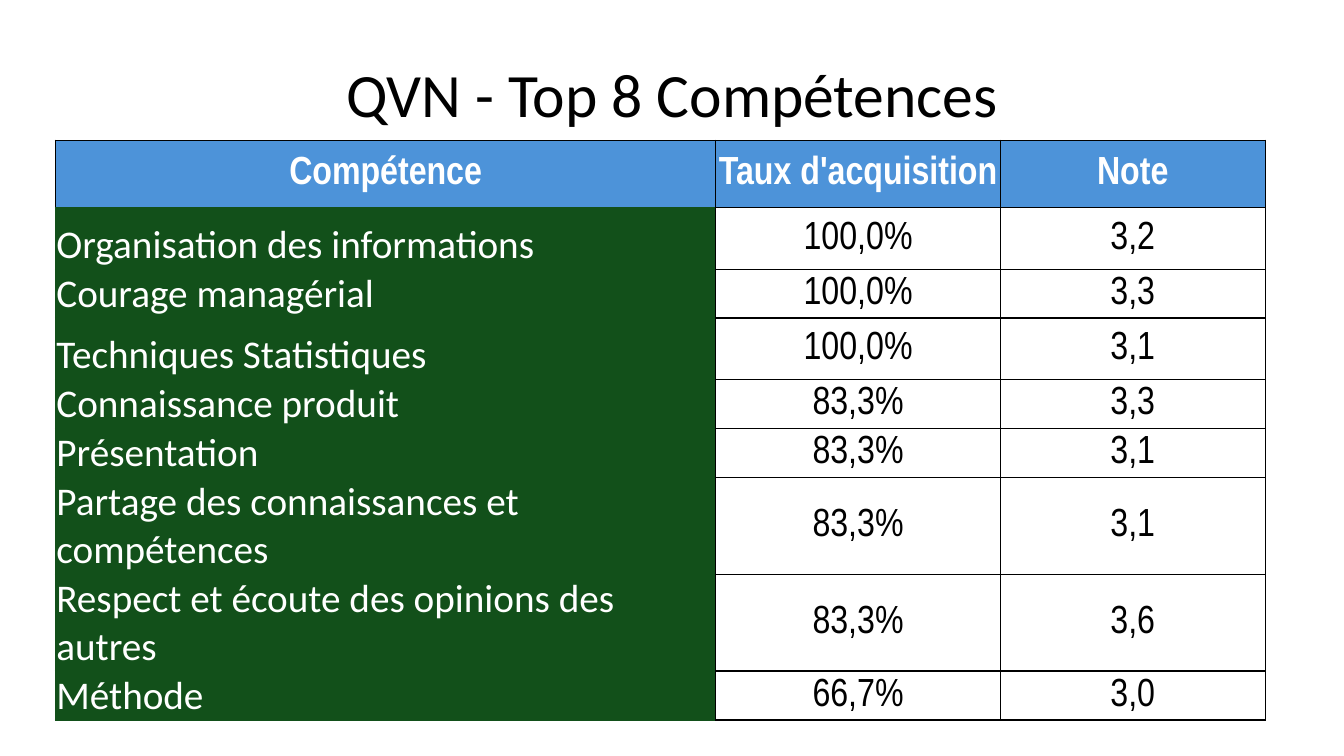
from dataclasses import dataclass
from typing import Any, NamedTuple

import pptx
import pptx.dml.color
import pptx.enum.shapes
import pptx.enum.text
import pptx.oxml
import pptx.oxml.ns
import pptx.util

ALIGN = pptx.enum.text.PP_ALIGN
ANCHOR = pptx.enum.text.MSO_ANCHOR


@dataclass(frozen=True)
class Theme:
    black: str = "000000"
    white: str = "FFFFFF"
    header_blue: str = "4D93D9"
    skill_green: str = "12501A"
    text_font: str = "Calibri"
    figure_font: str = "Arial Narrow"
    title_size: int = 44
    table_size: int = 28
    border_width: int = 1


THEME = Theme()


class Box(NamedTuple):
    """Left, top, width and height as shares of the slide."""
    left: float
    top: float
    width: float
    height: float


class Skill(NamedTuple):
    name: str
    acquisition: str
    score: str
    row_height: float


@dataclass(frozen=True)
class CellStyle:
    font: str
    color: str
    fill: str
    bold: bool = False
    align: Any = ALIGN.CENTER
    anchor: Any = ANCHOR.MIDDLE
    left: str = THEME.black
    right: str = THEME.black
    top: str = THEME.black
    bottom: str = THEME.black


SLIDE_WIDTH, SLIDE_HEIGHT = 13.33, 7.5
TITLE_BOX = Box(0.67 / SLIDE_WIDTH, 0.04, 0.9, 1.25 / SLIDE_HEIGHT)
TABLE_BOX = Box(0.55 / SLIDE_WIDTH, 1.39 / SLIDE_HEIGHT, 0.9, 5.94 / SLIDE_HEIGHT)

TITLE = "QVN - Top 8 Compétences"
HEADINGS = ("Compétence", "Taux d'acquisition", "Note")
COLUMN_WIDTHS = (6.55, 2.82, 2.63)
HEADER_HEIGHT = 0.67
SINGLE, DOUBLE, TALL = 0.34, 0.61, 0.91
SKILLS = (
    Skill("Organisation des informations", "100,0%", "3,2", DOUBLE),
    Skill("Courage managérial", "100,0%", "3,3", SINGLE),
    Skill("Techniques Statistiques", "100,0%", "3,1", DOUBLE),
    Skill("Connaissance produit", "83,3%", "3,3", SINGLE),
    Skill("Présentation", "83,3%", "3,1", SINGLE),
    Skill("Partage des connaissances et compétences", "83,3%", "3,1", TALL),
    Skill("Respect et écoute des opinions des autres", "83,3%", "3,6", DOUBLE),
    Skill("Méthode", "66,7%", "3,0", SINGLE),
)

HEADER = CellStyle(THEME.figure_font, THEME.white, THEME.header_blue, bold=True)
SKILL_HEADER = CellStyle(THEME.figure_font, THEME.white, THEME.header_blue,
                         bold=True, bottom=THEME.skill_green)
SKILL_NAME = CellStyle(THEME.text_font, THEME.white, THEME.skill_green,
                       align=ALIGN.LEFT, anchor=ANCHOR.BOTTOM, left=THEME.skill_green,
                       top=THEME.skill_green, bottom=THEME.skill_green)
FIGURE = CellStyle(THEME.figure_font, THEME.black, THEME.white)


def rgb(color: str) -> pptx.dml.color.RGBColor:
    return pptx.dml.color.RGBColor.from_string(color)


def apply(target: Any, values: dict[str, Any]) -> None:
    for name, value in values.items():
        setattr(target, name, value)


def placement(box: Box) -> dict[str, int]:
    return {
        "left": pptx.util.Inches(box.left * SLIDE_WIDTH),
        "top": pptx.util.Inches(box.top * SLIDE_HEIGHT),
        "width": pptx.util.Inches(box.width * SLIDE_WIDTH),
        "height": pptx.util.Inches(box.height * SLIDE_HEIGHT),
    }


def write(frame: Any, text: str, font: str, size: int, color: str,
          bold: bool, align: Any) -> None:
    paragraph = frame.paragraphs[0]
    paragraph.alignment = align
    run = paragraph.add_run()
    run.text = text
    apply(run.font, {"name": font, "size": pptx.util.Pt(size), "bold": bold})
    run.font.color.rgb = rgb(color)


def draw_borders(cell: Any, style: CellStyle) -> None:
    """Put the four lines ahead of the fill, as the schema orders them."""
    properties = cell._tc.get_or_add_tcPr()
    sides = {"lnL": style.left, "lnR": style.right, "lnT": style.top, "lnB": style.bottom}
    for position, (side, color) in enumerate(sides.items()):
        properties.insert(position, pptx.oxml.parse_xml(
            f'<a:{side} {pptx.oxml.ns.nsdecls("a")} w="{pptx.util.Pt(THEME.border_width)}">'
            f'<a:solidFill><a:srgbClr val="{color}"/></a:solidFill></a:{side}>'))


def fill_cell(cell: Any, text: str, style: CellStyle) -> None:
    inset = pptx.util.Inches(0.01)
    apply(cell, {"margin_left": inset, "margin_right": inset, "margin_top": inset,
                 "margin_bottom": 0, "vertical_anchor": style.anchor})
    write(cell.text_frame, text, style.font, THEME.table_size, style.color,
          style.bold, style.align)
    cell.fill.solid()
    cell.fill.fore_color.rgb = rgb(style.fill)
    draw_borders(cell, style)


def add_title(slide: Any) -> None:
    title = slide.shapes.title
    apply(title, placement(TITLE_BOX))
    apply(title.text_frame, {"vertical_anchor": ANCHOR.MIDDLE, "word_wrap": True})
    write(title.text_frame, TITLE, THEME.text_font, THEME.title_size, THEME.black,
          False, ALIGN.CENTER)


def add_skill_table(slide: Any) -> None:
    place = placement(TABLE_BOX)
    frame = slide.shapes.add_table(len(SKILLS) + 1, len(HEADINGS), **place)
    table = frame.table
    for column, width in zip(table.columns, COLUMN_WIDTHS):
        column.width = pptx.util.Inches(width)
    heights = (HEADER_HEIGHT, *(skill.row_height for skill in SKILLS))
    for row, height in zip(table.rows, heights):
        row.height = pptx.util.Inches(height)
    apply(frame, place)

    lines = [(HEADINGS, (SKILL_HEADER, HEADER, HEADER))]
    lines += [(skill[:3], (SKILL_NAME, FIGURE, FIGURE)) for skill in SKILLS]
    for row, (texts, styles) in zip(table.rows, lines):
        for cell, text, style in zip(row.cells, texts, styles):
            fill_cell(cell, text, style)


def main() -> None:
    deck = pptx.Presentation()
    apply(deck, {"slide_width": pptx.util.Inches(SLIDE_WIDTH),
                 "slide_height": pptx.util.Inches(SLIDE_HEIGHT)})
    slide = deck.slides.add_slide(deck.slide_layouts.get_by_name("Title Only"))
    add_title(slide)
    add_skill_table(slide)
    deck.save("out.pptx")


if __name__ == "__main__":
    main()
